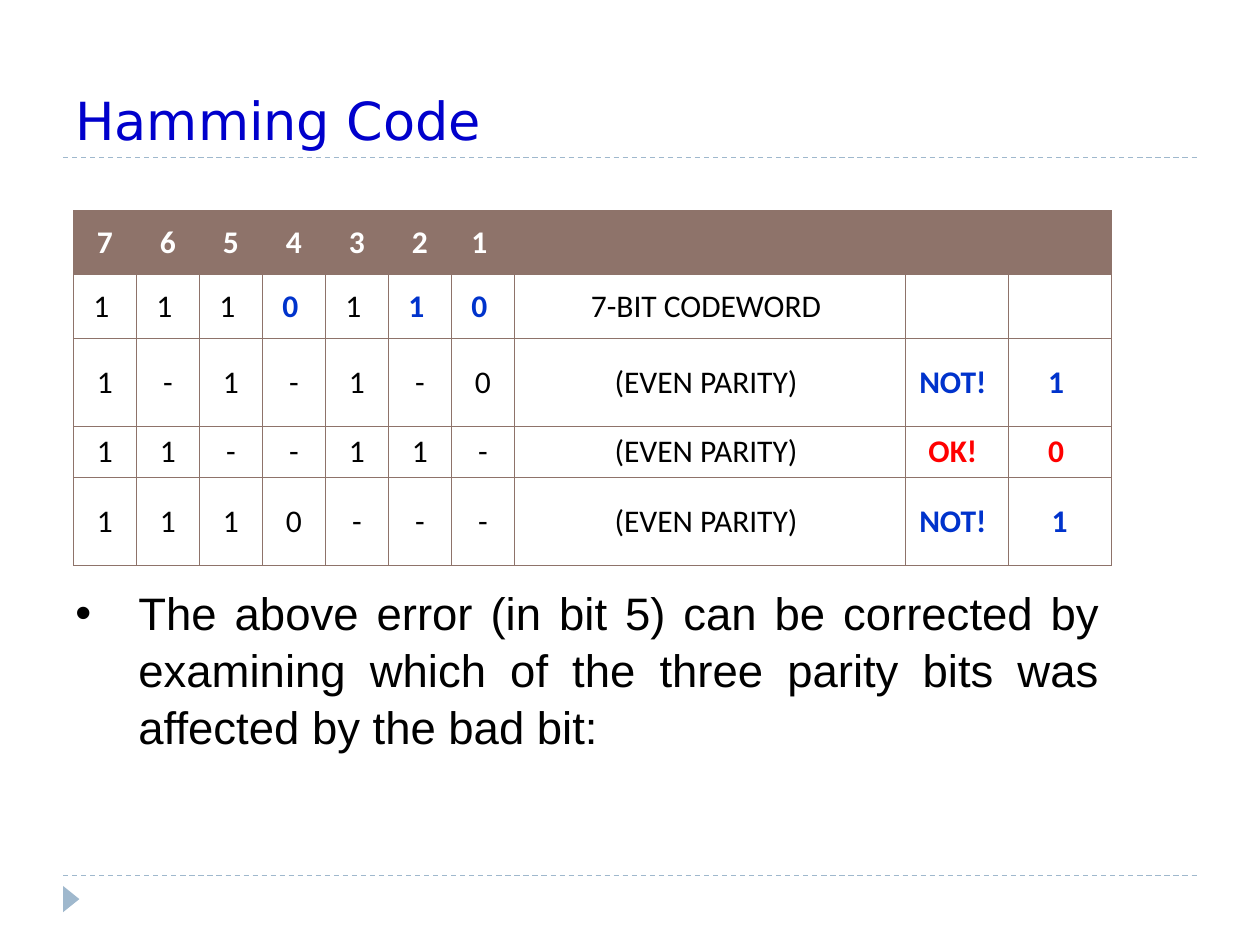
from lxml.etree import SubElement
from pptx import Presentation
from pptx.dml.color import RGBColor
from pptx.enum.dml import MSO_LINE_DASH_STYLE as Dash
from pptx.enum.shapes import MSO_CONNECTOR as Connector, MSO_SHAPE as Shape
from pptx.enum.text import MSO_ANCHOR as Anchor, PP_ALIGN as Align
from pptx.oxml.ns import qn
from pptx.util import Cm, Pt

BLACK = RGBColor(0x00, 0x00, 0x00)
WHITE = RGBColor(0xFF, 0xFF, 0xFF)
BROWN = RGBColor(0x8E, 0x73, 0x6A)
PALE_BLUE = RGBColor(0x9F, 0xB8, 0xCD)
TITLE_BLUE = RGBColor(0x00, 0x00, 0xCC)
BLUE = RGBColor(0x00, 0x33, 0xCC)
RED = RGBColor(0xFF, 0x00, 0x00)

COLUMN_WIDTHS = [1.27] * 7 + [7.87, 2.08, 2.08]
ROW_HEIGHTS = [1.29, 1.29, 1.78, 1.02, 1.78]
ROWS = [
    ["7", "6", "5", "4", "3", "2", "1 ", "", "", ""],
    ["1 ", "1 ", "1 ", "0 ", "1 ", "1 ", "0 ", "7-BIT CODEWORD ", "", ""],
    ["1", "-", "1", "-", "1", "-", "0", "(EVEN PARITY) ", "NOT! ", "1 "],
    ["1", "1", "-", "-", "1", "1", "-", "(EVEN PARITY) ", "OK! ", "0 "],
    ["1", "1", "1", "0", "-", "-", "-", "(EVEN PARITY) ", "NOT! ", "1"],
]
CODEWORD_ROW, PASSED_ROW = 1, 3
PARITY_COLUMNS = (3, 5, 6)
FIRST_RESULT_COLUMN = 8


def set_font(paragraph, name, size, color, bold=False):
    """Set the font of a whole paragraph."""
    font = paragraph.font
    font.name, font.size, font.bold = name, Pt(size), bold
    font.color.rgb = color


def add_rule(slide, top):
    """Draw a dashed line across the slide."""
    rule = slide.shapes.add_connector(
        Connector.STRAIGHT, Cm(1.27), Cm(top), Cm(24.13), Cm(top))
    rule.line.color.rgb = PALE_BLUE
    rule.line.width = Pt(0.75)
    rule.line.dash_style = Dash.DASH
    SubElement(rule._element.spPr, qn("a:effectLst"))


def add_marker(slide):
    """Draw the footer triangle, pointing right."""
    marker = slide.shapes.add_shape(
        Shape.ISOSCELES_TRIANGLE, Cm(1.17), Cm(17.96), Cm(0.53), Cm(0.33))
    marker.rotation = 90
    marker.shadow.inherit = False
    marker.fill.solid()
    marker.fill.fore_color.rgb = PALE_BLUE
    marker.line.fill.background()


def add_text(slide, text, left, top, width, height, anchor):
    """Add a wrapping text box and return its paragraph."""
    frame = slide.shapes.add_textbox(
        Cm(left), Cm(top), Cm(width), Cm(height)).text_frame
    frame.word_wrap = True
    frame.vertical_anchor = anchor
    paragraph = frame.paragraphs[0]
    paragraph.add_run().text = text
    return paragraph


def add_bullet(paragraph):
    """Give a paragraph a round bullet and a hanging indent."""
    properties = paragraph._p.get_or_add_pPr()
    properties.set("marL", str(Cm(1.27)))
    properties.set("indent", str(-Cm(1.27)))
    color = SubElement(properties, qn("a:buClr"))
    SubElement(color, qn("a:srgbClr"), val=str(BLACK))
    SubElement(properties, qn("a:buFont"), typeface="Arial")
    SubElement(properties, qn("a:buChar"), char="•")


def add_borders(cell):
    """Draw a thin border on all four sides of a cell."""
    properties = cell._tc.get_or_add_tcPr()
    for index, side in enumerate(("a:lnL", "a:lnR", "a:lnT", "a:lnB")):
        line = properties.makeelement(qn(side), {"w": str(Pt(0.34))})
        fill = SubElement(line, qn("a:solidFill"))
        SubElement(fill, qn("a:srgbClr"), val=str(BROWN))
        properties.insert(index, line)


def cell_style(row, column):
    """Return the text colour and weight for a table position."""
    if row == 0:
        return WHITE, True
    if row == CODEWORD_ROW and column in PARITY_COLUMNS:
        return BLUE, True
    if column >= FIRST_RESULT_COLUMN:
        return (RED if row == PASSED_ROW else BLUE), True
    return BLACK, False


def fill_cell(cell, text, row, column):
    """Write and format one table cell."""
    if row == 0:
        cell.fill.solid()
        cell.fill.fore_color.rgb = BROWN
    else:
        cell.fill.background()
    add_borders(cell)
    cell.vertical_anchor = Anchor.MIDDLE
    paragraph = cell.text_frame.paragraphs[0]
    paragraph.alignment = Align.CENTER
    if text:
        paragraph.add_run().text = text
    color, bold = cell_style(row, column)
    set_font(paragraph, "Calibri", 18, color, bold)


def add_parity_table(slide):
    """Add the table of codeword bits and parity checks."""
    table = slide.shapes.add_table(
        len(ROWS), len(COLUMN_WIDTHS), Cm(1.48), Cm(4.24),
        Cm(sum(COLUMN_WIDTHS)), Cm(sum(ROW_HEIGHTS))).table
    table.horz_banding = False
    table.first_row = False
    for column, width in zip(table.columns, COLUMN_WIDTHS):
        column.width = Cm(width)
    for row, height in zip(table.rows, ROW_HEIGHTS):
        row.height = Cm(height)
    for row, texts in enumerate(ROWS):
        for column, text in enumerate(texts):
            fill_cell(table.cell(row, column), text, row, column)


def main():
    """Build the Hamming code slide."""
    presentation = Presentation()
    presentation.slide_width, presentation.slide_height = Cm(25.4), Cm(19.05)
    slide = presentation.slides.add_slide(presentation.slide_layouts[6])
    for top in (17.65, 3.18):
        add_rule(slide, top)
    add_marker(slide)
    title = add_text(
        slide, "Hamming Code", 1.27, 0.43, 22.86, 2.75, Anchor.BOTTOM)
    set_font(title, "DejaVu Sans", 30, TITLE_BLUE)
    add_parity_table(slide)
    remark = add_text(
        slide,
        "The above error (in bit 5) can be corrected by examining which of "
        "the three parity bits was affected by the bad bit: ",
        1.27, 11.63, 21.16, 3.56, Anchor.TOP)
    add_bullet(remark)
    remark.alignment = Align.JUSTIFY
    remark.line_spacing = 1.04
    set_font(remark, "Arial", 26, BLACK)
    presentation.save("out.pptx")


if __name__ == "__main__":
    main()
